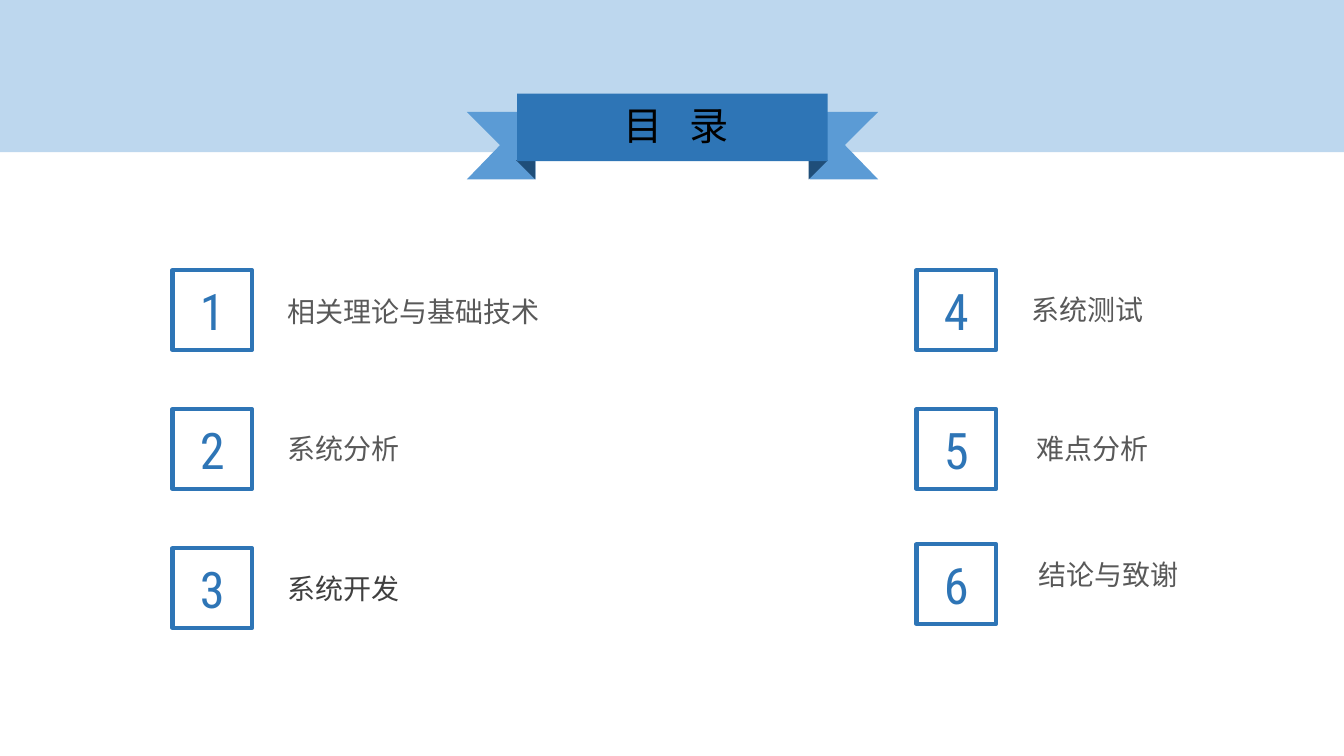
from lxml.etree import SubElement
from pptx import Presentation
from pptx.dml.color import RGBColor
from pptx.enum.shapes import MSO_SHAPE as Kind
from pptx.enum.text import MSO_ANCHOR as Anchor, MSO_AUTO_SIZE as Fit, PP_ALIGN as Align
from pptx.oxml.ns import qn
from pptx.util import Inches, Pt

PALE = RGBColor(0xBD, 0xD7, 0xEE)
SKY = RGBColor(0x5B, 0x9B, 0xD5)
BLUE = RGBColor(0x2E, 0x75, 0xB6)
NAVY = RGBColor(0x1F, 0x4E, 0x79)
BLACK = RGBColor(0, 0, 0)
GRAY = RGBColor(0x59, 0x59, 0x59)
DARK = RGBColor(0x40, 0x40, 0x40)
HAN = "Noto Sans CJK SC"
MID = 6.67


class Page:
    """Holds the style and the slide being drawn."""

    def __init__(self, slide):
        self.slide = slide
        self.shapes = slide.shapes

    def paint(self, shape, fill=None, line=None):
        """Set the fill and outline of a shape."""
        shape.shadow.inherit = False
        if fill is None:
            shape.fill.background()
        else:
            shape.fill.solid()
            shape.fill.fore_color.rgb = fill
        if line is None:
            shape.line.fill.background()
        else:
            shape.line.color.rgb = line
            shape.line.width = Pt(3)
        return shape

    def block(self, kind, box, fill=None, line=None):
        """Draw a preset shape."""
        shape = self.shapes.add_shape(kind, *map(Inches, box))
        return self.paint(shape, fill, line)

    def tail(self, side):
        """Draw one ribbon tail, left for -1 and right for 1."""
        spots = [(2.04, 1.11), (1.36, 1.11), (1.36, 1.78), (2.04, 1.78), (1.71, 1.44)]
        dots = [(Inches(MID + side * x), Inches(y)) for x, y in spots]
        form = self.shapes.build_freeform(*dots[0])
        form.add_line_segments(dots[1:])
        self.paint(form.convert_to_shape(), SKY)

    def letter(self, shape, text, size, font, color, align=Align.CENTER):
        """Put one styled line of text in a shape."""
        frame = shape.text_frame
        frame.text = text
        frame.word_wrap = True
        frame.auto_size = Fit.NONE
        frame.vertical_anchor = Anchor.MIDDLE
        line = frame.paragraphs[0]
        line.alignment = align
        face = line.runs[0].font
        face.size = Pt(size)
        face.name = font
        face.color.rgb = color
        props = next(shape.element.iter(qn("a:rPr")))
        SubElement(props, qn("a:ea")).set("typeface", HAN)
        return props

    def title(self, text):
        """Place the title over the ribbon."""
        shape = self.shapes.title
        shape.left, shape.top, shape.width, shape.height = map(
            Inches, (MID - 0.59, 0.95, 1.26, 0.57))
        shape.element.getparent().append(shape.element)
        props = self.letter(shape, text, 28, "Calibri", BLACK)
        props.set("spc", "650")

    def badge(self, mark, x, y):
        """Draw a numbered square."""
        box = self.block(Kind.RECTANGLE, (x, y, 0.79, 0.79), line=BLUE)
        box.text_frame.margin_top = box.text_frame.margin_bottom = 0
        self.letter(box, mark, 36, "Roboto Condensed", BLUE)

    def label(self, text, x, y, color):
        """Add the name of a section."""
        box = self.shapes.add_textbox(*map(Inches, (x, y, 2.97, 0.44)))
        self.letter(box, text, 20, HAN, color, Align.LEFT)


def main():
    """Build the contents slide."""
    deck = Presentation()
    deck.slide_width, deck.slide_height = Inches(13.33), Inches(7.5)
    page = Page(deck.slides.add_slide(deck.slide_layouts[5]))

    page.block(Kind.RECTANGLE, (0, 0, 13.33, 1.51), PALE)
    for side, x, turn in ((-1, 5.12, 180), (1, 8.02, 90)):
        page.tail(side)
        fold = page.block(Kind.RIGHT_TRIANGLE, (x, 1.59, 0.19, 0.19), NAVY)
        fold.rotation = turn
    page.block(Kind.RECTANGLE, (5.13, 0.93, 3.08, 0.67), BLUE)
    page.title("目 录")

    items = [
        ("相关理论与基础技术", 1.71, 2.68, 2.75, 2.87, GRAY),
        ("系统分析", 1.71, 4.06, 2.75, 4.23, GRAY),
        ("系统开发", 1.71, 5.44, 2.75, 5.62, DARK),
        ("系统测试", 9.09, 2.68, 10.13, 2.85, GRAY),
        ("难点分析", 9.09, 4.06, 10.18, 4.23, GRAY),
        ("结论与致谢", 9.09, 5.4, 10.2, 5.48, GRAY),
    ]
    for num, (text, x, y, left, top, color) in enumerate(items, 1):
        page.badge(str(num), x, y)
        page.label(text, left, top, color)
    deck.save("out.pptx")


if __name__ == "__main__":
    main()
